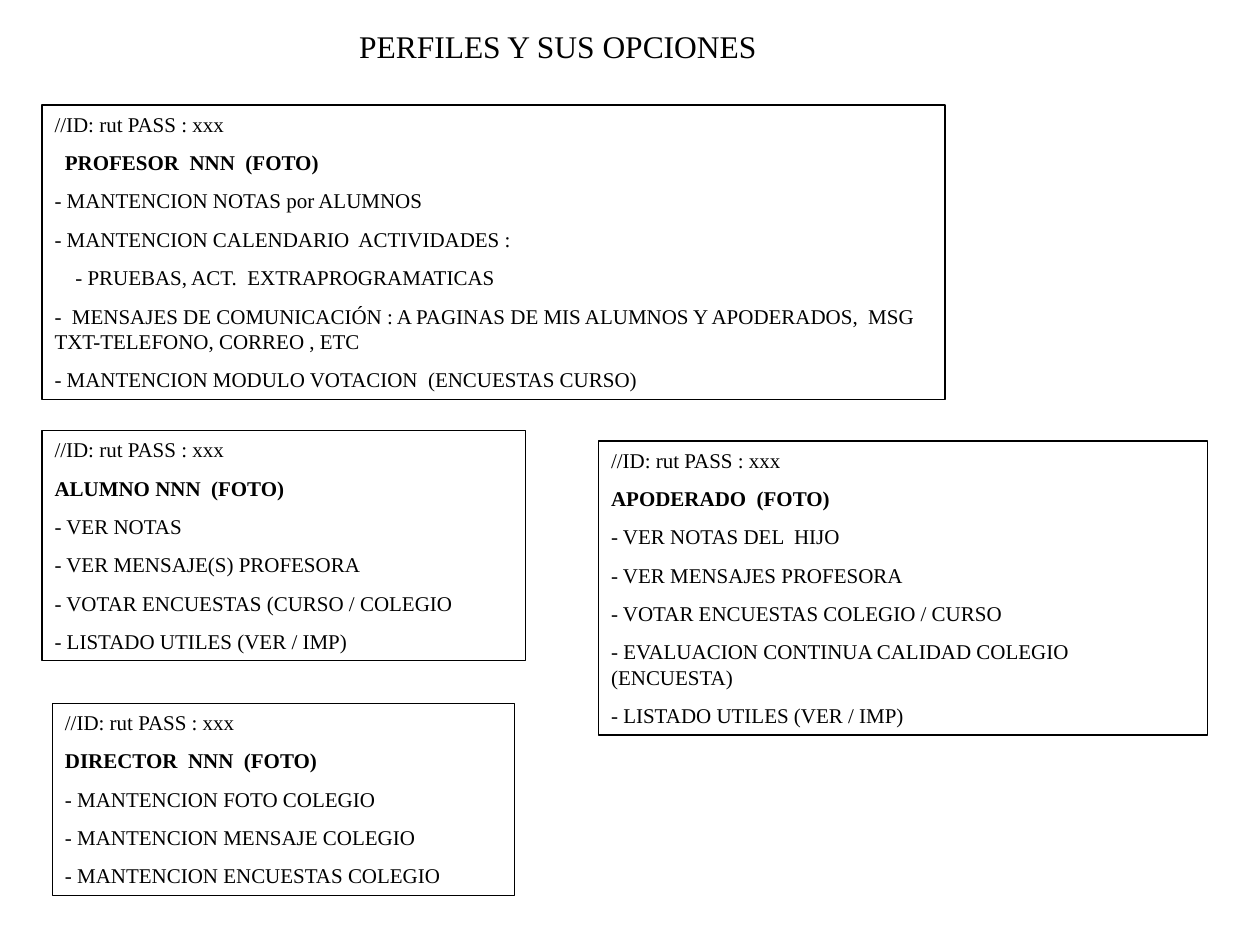
from pptx import Presentation
from pptx.dml.color import RGBColor
from pptx.enum.shapes import MSO_SHAPE
from pptx.enum.text import MSO_ANCHOR, MSO_AUTO_SIZE, PP_ALIGN
from pptx.util import Cm, Pt

FONT = "Times New Roman"
INK = {"text": "000000", "line": "000000"}
LOGIN = "//ID: rut PASS : xxx"
TITLE = "PERFILES Y SUS OPCIONES"

# Each profile: box (left, top, width, height in cm), role, options
CARDS = [
    ((0.85, 2.12, 18.2, 5.93), "PROFESOR  NNN  (FOTO)", [
        "- MANTENCION NOTAS por ALUMNOS",
        "- MANTENCION CALENDARIO  ACTIVIDADES :",
        "- PRUEBAS, ACT.  EXTRAPROGRAMATICAS",
        "-  MENSAJES DE COMUNICACIÓN : A PAGINAS DE MIS ALUMNOS Y "
        "APODERADOS,  MSG TXT-TELEFONO, CORREO , ETC",
        "- MANTENCION MODULO VOTACION  (ENCUESTAS CURSO)"]),
    ((0.85, 8.68, 9.74, 4.63), "ALUMNO NNN  (FOTO)", [
        "- VER NOTAS",
        "- VER MENSAJE(S) PROFESORA",
        "- VOTAR ENCUESTAS (CURSO / COLEGIO",
        "- LISTADO UTILES (VER / IMP)"]),
    ((12.07, 8.89, 12.28, 5.93), "APODERADO  (FOTO)", [
        "- VER NOTAS DEL  HIJO",
        "- VER MENSAJES PROFESORA",
        "- VOTAR ENCUESTAS COLEGIO / CURSO",
        "- EVALUACION CONTINUA CALIDAD COLEGIO (ENCUESTA)",
        "- LISTADO UTILES (VER / IMP)"]),
    ((1.06, 14.18, 9.31, 3.87), "DIRECTOR  NNN  (FOTO)", [
        "- MANTENCION FOTO COLEGIO",
        "- MANTENCION MENSAJE COLEGIO",
        "- MANTENCION ENCUESTAS COLEGIO"]),
]
# Left indents in cm of the lines that are set in
INDENT = {"PROFESOR  NNN  (FOTO)": 0.21,
          "- PRUEBAS, ACT.  EXTRAPROGRAMATICAS": 0.42}


def write(shape, lines, size=12, gap=7.5, bold=None):
    """Fill a shape with paragraphs; bold names the line set in bold."""
    frame = shape.text_frame
    frame.word_wrap = True
    frame.auto_size = MSO_AUTO_SIZE.SHAPE_TO_FIT_TEXT
    frame.vertical_anchor = MSO_ANCHOR.TOP
    for i, line in enumerate(lines):
        para = frame.add_paragraph() if i else frame.paragraphs[0]
        para.alignment = PP_ALIGN.LEFT
        para.space_before = Pt(gap)
        if line in INDENT:
            para._p.get_or_add_pPr().set("marL", str(Cm(INDENT[line])))
        run = para.add_run()
        run.text = line
        run.font.name = FONT
        run.font.size = Pt(size)
        run.font.bold = line == bold
        run.font.color.rgb = RGBColor.from_string(INK["text"])


deck = Presentation()
deck.slide_width, deck.slide_height = Cm(25.4), Cm(19.05)
slide = deck.slides.add_slide(deck.slide_layouts[6])

# Profile boxes
for box, role, items in CARDS:
    card = slide.shapes.add_shape(MSO_SHAPE.RECTANGLE, *map(Cm, box))
    card.shadow.inherit = False
    card.fill.background()
    card.line.color.rgb = RGBColor.from_string(INK["line"])
    card.line.width = Pt(0.75)
    write(card, [LOGIN, role, *items], bold=role)

# Title
head = slide.shapes.add_textbox(Cm(6.99), Cm(0.42), Cm(12.07), Cm(1.02))
write(head, [TITLE], size=18, gap=11.2)

deck.save("out.pptx")
